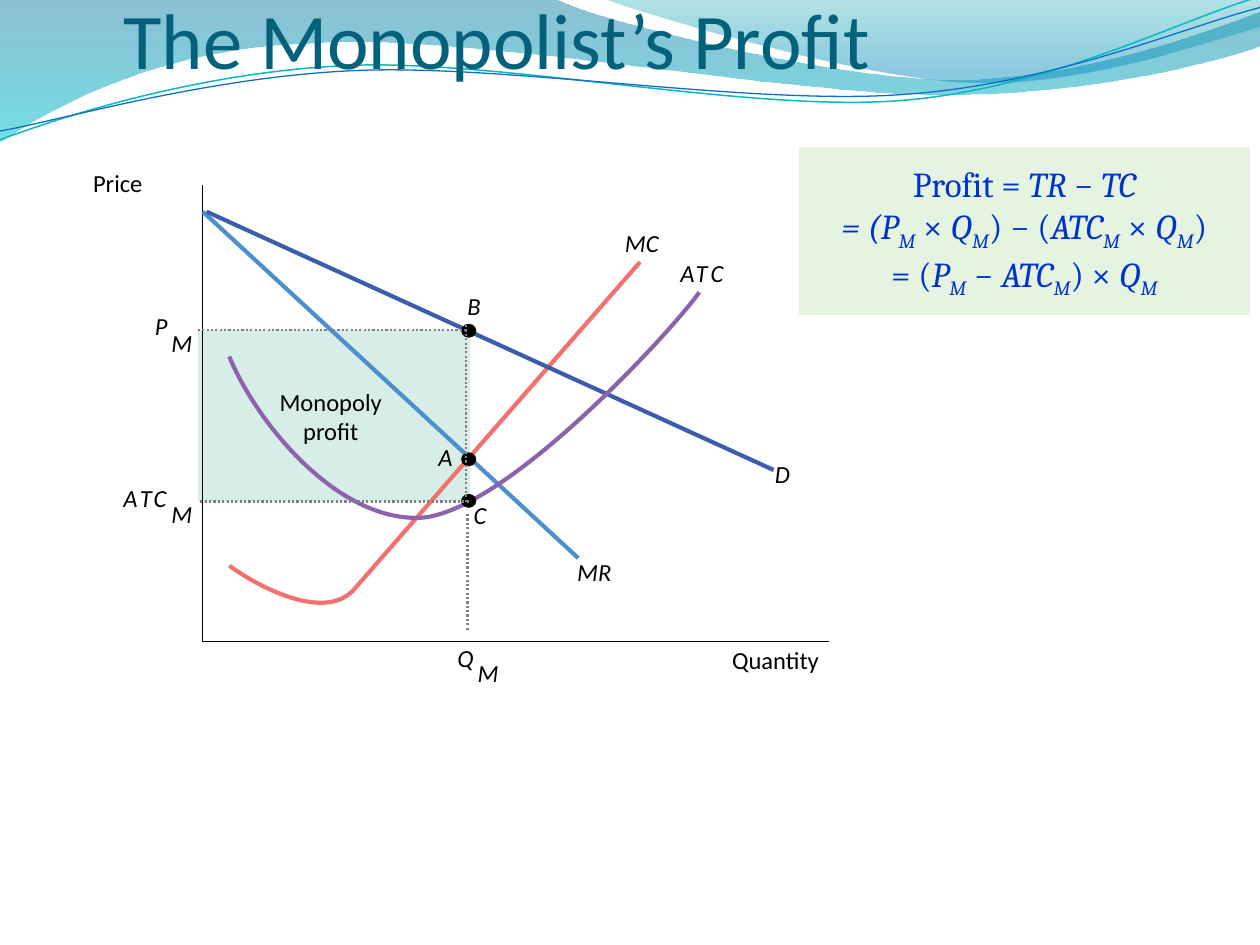
from lxml import etree
from pptx import Presentation, util as u
from pptx.dml.color import RGBColor
from pptx.enum import dml, shapes, text
from pptx.oxml.ns import qn

HUE = {
    "title": "04617B", "black": "000000", "dots": "808080",
    "note": "E5F4E0", "math": "0033CC", "area": "D7EDE7",
    "mc": "F3716D", "mr": "4B8FCC", "d": "3C5DAA", "atc": "8C64AB",
    "teal": "0AB8BF", "blue": "0F6FC6",
    "deep": "0074A1", "aqua": "00C6CF", "sea": "00A1A9", "sky": "008BBF",
}

# Paths: a start, then points (2 numbers) or cubic curves (6 numbers)
BANDS = [
    ([(0, 0), (4.4, -0.01), (4.76, 0.17, 6.64, 0.63, 7.58, 0.63),
      (8.53, 0.63, 9.58, 0.26, 10, 0.09), (10.01, 0.36),
      (9.83, 0.44, 8.7, 0.76, 7.46, 0.75), (6.22, 0.75, 3.82, 0.28, 2.57, 0.34),
      (1.29, 0.36, 0.46, 0.83, -0.01, 1.13), (0, 0)],
     [("deep", 0, 45), ("aqua", 1, 55)]),
    ([(4.79, -0.01), (5.09, 0.11, 6.82, 0.62, 7.69, 0.65),
      (8.56, 0.69, 9.61, 0.32, 10, 0.21), (10, 0), (4.79, -0.01)],
     [("sea", 0, 30), ("sky", 0.8, 45)]),
]
WAVES = [
    ([(0, 1.11), (0.48, 0.93, 1.58, 0.57, 2.77, 0.52),
      (3.95, 0.47, 5.93, 0.89, 7.13, 0.8), (8.33, 0.71, 9.38, 0.15, 9.98, -0.02)],
     "teal", 0.85),
    ([(0, 1.04), (0.47, 0.96, 1.64, 0.61, 2.83, 0.56),
      (4.03, 0.51, 5.97, 0.84, 7.17, 0.75), (8.36, 0.67, 9.41, 0.21, 10, 0.06)],
     "blue", 0.75),
]
AXES = [(6.58, 5.09), (1.61, 5.09), (1.61, 1.47)]
COST = [(5.08, 2.08), (2.8, 4.69, 2.8, 4.69, 2.8, 4.69),
        (2.55, 4.94, 2.01, 4.63, 1.82, 4.49)]
MEAN = [(1.82, 2.83), (2.03, 3.34, 2.66, 4.13, 3.33, 4.11),
        (4, 4.08, 5.33, 2.63, 5.55, 2.32)]
RAYS = [("mr", 1.61, 1.68, 4.59, 4.43), ("d", 1.64, 1.68, 6.14, 3.73)]
SPECKS = [(2.49, 3.48), (2.2, 4.18)]
GUIDES = [(3.7, 2.58, 3.7, 4), (1.57, 2.62, 3.7, 2.62),
          (1.59, 3.98, 3.72, 3.98), (3.71, 4.08, 3.71, 5)]
DOTS = [2.57, 3.59, 3.92]

# Run styles: i italic, s subscript
FORMULA = [
    [("Profit = ", ""), ("TR ", "i"), ("\u2212 ", ""), ("TC", "i")],
    [("= (P", "i"), ("M", "is"), (" \u00d7 ", ""), ("Q", "i"), ("M", "is"),
     (") \u2212 (", ""), ("ATC", "i"), ("M", "is"), (" \u00d7 ", ""),
     ("Q", "i"), ("M", "is"), (")", "")],
    [("= (", ""), ("P", "i"), ("M", "is"), (" \u2212 ", ""), ("ATC", "i"),
     ("M", "is"), (") \u00d7 ", ""), ("Q", "i"), ("M", "is")],
]
LABELS = [
    ("Q", 3.63, 5.1, 0.15), ("M", 3.79, 5.22, 0.16),
    ("P", 1.23, 2.47, 0.13), ("M", 1.36, 2.6, 0.16),
    ("A", 0.98, 3.83, 0.13), ("T", 1.11, 3.83, 0.12), ("C", 1.22, 3.83, 0.14),
    ("M", 1.36, 3.96, 0.16),
    ("C", 3.76, 3.97, 0.14), ("D", 6.15, 3.64, 0.14), ("MR", 4.58, 4.42, 0.31),
    ("A", 3.48, 3.51, 0.13), ("B", 3.71, 2.31, 0.13), ("MC", 4.96, 1.81, 0.31),
    ("A", 5.4, 2.05, 0.13), ("T", 5.52, 2.05, 0.12), ("C", 5.64, 2.05, 0.14),
]
NAMES = [("Quantity", 5.79, 5.12, 0.73, 0.24), ("Price", 0.33, 1.33, 1.21, 0.24),
         ("Monopoly profit", 2.03, 3.07, 1.19, 0.47)]

deck = Presentation()
deck.slide_width, deck.slide_height = u.Inches(10), u.Inches(7.5)
slide = deck.slides.add_slide(deck.slide_layouts[6])
parts = slide.shapes


def rgb(name):
    return RGBColor.from_string(HUE[name])


def stroke(item, name, size):
    item.line.color.rgb = rgb(name)
    item.line.width = u.Pt(size)


def trace(route):
    pts = [(u.Inches(leg[k]), u.Inches(leg[k + 1]))
           for leg in route for k in range(0, len(leg), 2)]
    pen = parts.build_freeform(*pts[0])
    pen.add_line_segments(pts[1:], close=route[0] == route[-1])
    form = pen.convert_to_shape()
    form.shadow.inherit = False
    form.fill.background()
    # Join each three segments of a curve into one Bezier
    segs = iter(list(form._element.iter(qn("a:lnTo"))))
    for leg in route[1:]:
        first = next(segs)
        if len(leg) == 6:
            first.tag = qn("a:cubicBezTo")
            for seg in (next(segs), next(segs)):
                first.append(seg[0])
                seg.getparent().remove(seg)
    return form


def curve(route, name, size):
    stroke(trace(route), name, size)


def solid(kind, box, name):
    form = parts.add_shape(kind, *map(u.Inches, box))
    form.shadow.inherit = False
    form.fill.solid()
    form.fill.fore_color.rgb = rgb(name)
    form.line.fill.background()
    return form


def line(name, size, ends, dash=None):
    link = parts.add_connector(shapes.MSO_CONNECTOR.STRAIGHT, *map(u.Inches, ends))
    stroke(link, name, size)
    if dash:
        link.line.dash_style = dash
    etree.SubElement(link._element.spPr, qn("a:effectLst"))


def write(rows, box=None, host=None, size=14, font="Calibri", color="black",
          align="CENTER", anchor="TOP", wrap=True, pad=(0, 0, 0, 0)):
    host = host or parts.add_textbox(*map(u.Inches, box))
    frame = host.text_frame
    frame.word_wrap = wrap
    frame.vertical_anchor = text.MSO_ANCHOR[anchor]
    (frame.margin_left, frame.margin_top,
     frame.margin_right, frame.margin_bottom) = map(u.Inches, pad)
    for n, row in enumerate(rows):
        para = frame.add_paragraph() if n else frame.paragraphs[0]
        para.alignment = text.PP_ALIGN[align]
        for words, style in row:
            run = para.add_run()
            run.text = words
            run.font.size, run.font.name = u.Pt(size), font
            run.font.color.rgb = rgb(color)
            run.font.italic = "i" in style
            if "s" in style:
                run.font._element.set("baseline", "-25000")


# Header waves
for route, stops in BANDS:
    band = trace(route)
    band.line.fill.background()
    band.fill.gradient()
    band.fill.gradient_angle = 270
    for stop, (name, place, alpha) in zip(band.fill.gradient_stops, stops):
        stop.color.rgb = rgb(name)
        stop.position = place
    tones = list(band._element.spPr.iter(qn("a:srgbClr")))
    for tone, (name, place, alpha) in zip(tones, stops):
        etree.SubElement(tone, qn("a:alpha")).set("val", str(alpha * 1000))
for wave in WAVES:
    curve(*wave)

# Title and formula
write([[("The Monopolist\u2019s Profit", "")]], (0.98, 0.07, 8.82, 0.61), size=45,
      color="title", align="LEFT", anchor="BOTTOM", pad=(0, 0.05, 0, 0))
RECT, OVAL = shapes.MSO_SHAPE.RECTANGLE, shapes.MSO_SHAPE.OVAL
write(FORMULA, host=solid(RECT, (6.34, 1.17, 3.58, 1.33), "note"), size=20,
      font="Cambria", color="math", anchor="MIDDLE", pad=(0.1, 0.05, 0.1, 0.05))

# Diagram
solid(RECT, (1.57, 2.62, 2.16, 1.36), "area")
curve(COST, "mc", 2.38)
curve(AXES, "black", 0.63)
for name, *ends in RAYS:
    line(name, 2.38, ends)
curve(MEAN, "atc", 2.38)
for top in DOTS:
    solid(OVAL, (3.66, top, 0.12, 0.11), "black")
for speck in SPECKS:
    line("black", 0.63, speck * 2)
for ends in GUIDES:
    line("dots", 1.25, ends, dml.MSO_LINE.ROUND_DOT)

# Labels
for word, left, top, wide in LABELS:
    write([[(word, "i")]], (left, top, wide, 0.24), align="LEFT", wrap=False)
for word, *box in NAMES:
    write([[(word, "")]], box, wrap=word != "Quantity")

deck.save("out.pptx")
